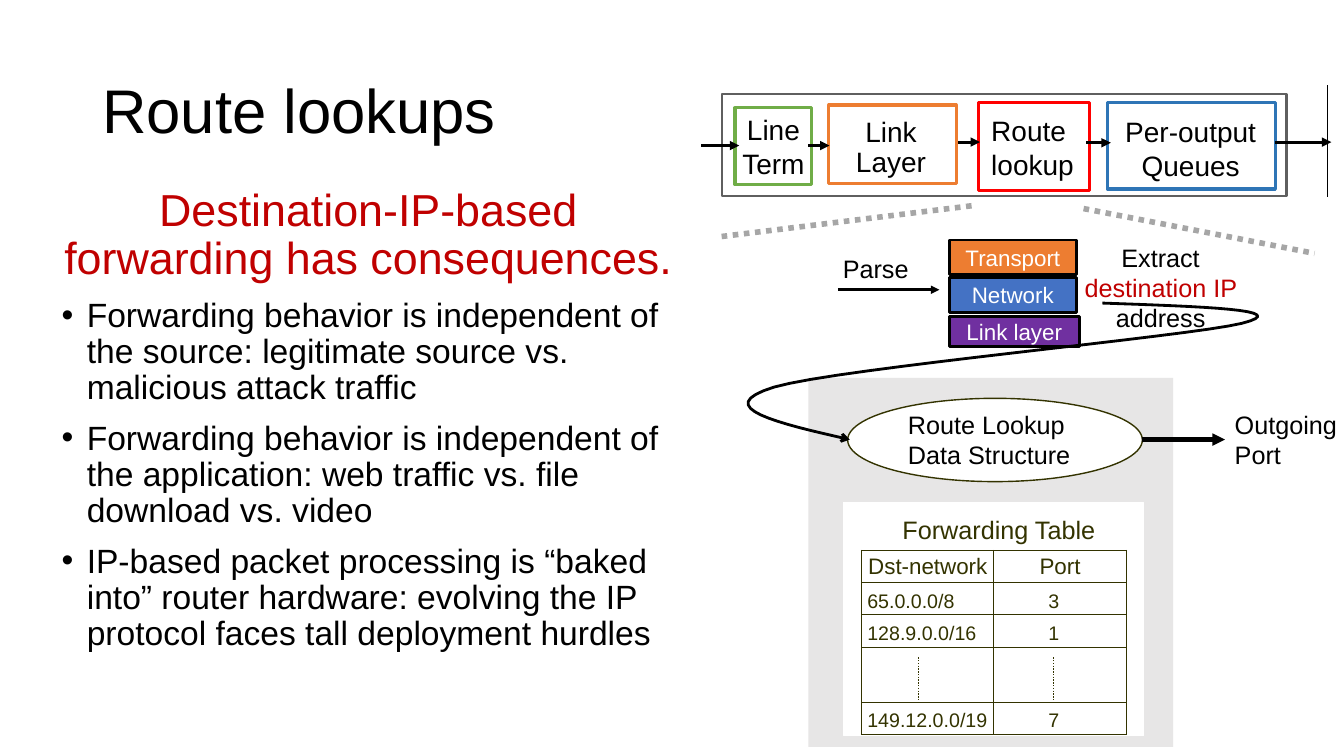
from lxml import etree
from pptx import Presentation
from pptx.dml.color import RGBColor
from pptx.enum.dml import MSO_LINE
from pptx.enum.shapes import MSO_CONNECTOR, MSO_SHAPE
from pptx.enum.text import MSO_ANCHOR, PP_ALIGN
from pptx.oxml.ns import qn
from pptx.util import Pt

LEFT, CENTER = PP_ALIGN.LEFT, PP_ALIGN.CENTER
TOP, MIDDLE = MSO_ANCHOR.TOP, MSO_ANCHOR.MIDDLE
RECTANGLE, OVAL = MSO_SHAPE.RECTANGLE, MSO_SHAPE.OVAL
STRAIGHT, DOTTED = MSO_CONNECTOR.STRAIGHT, MSO_LINE.ROUND_DOT
FONT = "Arial"
BLACK, WHITE, RED, OLIVE = "000000", "FFFFFF", "C00000", "333300"
color = RGBColor.from_string

deck = Presentation()
deck.slide_width, deck.slide_height = Pt(960), Pt(540)
page = deck.slides.add_slide(deck.slide_layouts[6])


def write(frame, text, size, ink=BLACK, align=LEFT, anchor=TOP, spacing=1.0):
    frame.word_wrap = True
    frame.margin_left = frame.margin_right = frame.margin_top = frame.margin_bottom = 0
    frame.vertical_anchor = anchor
    frame.text = text
    for para in frame.paragraphs:
        para.alignment = align
        para.line_spacing = spacing
        for span in para.runs:
            span.font.name = FONT
            span.font.size = Pt(size)
            span.font.color.rgb = color(ink)


def add_line(x1, y1, x2, y2, ink, weight, arrow=False, dotted=False):
    connector = page.shapes.add_connector(STRAIGHT, Pt(x1), Pt(y1), Pt(x2), Pt(y2))
    connector.line.color.rgb = color(ink)
    connector.line.width = Pt(weight)
    if dotted:
        connector.line.dash_style = DOTTED
    properties = connector._element.spPr
    if arrow:
        etree.SubElement(properties.find(qn("a:ln")), qn("a:tailEnd"), type="triangle")
    etree.SubElement(properties, qn("a:effectLst"))


shapes = [
    (RECTANGLE, 516, 67, 403, 73, WHITE, "5F5F5F", 1.5, ""),
    (RECTANGLE, 525, 77, 55, 55, WHITE, "70AD47", 2.25, ""),
    (RECTANGLE, 592, 75, 91, 56, WHITE, "ED7D31", 2.25, ""),
    (RECTANGLE, 699, 73, 79, 63, WHITE, "FF0000", 2.25, ""),
    (RECTANGLE, 791, 73, 120, 62, WHITE, "2E75B6", 2.25, ""),
    (RECTANGLE, 577.5, 270, 260.5, 263.5, "E7E6E6", None, 0, ""),
    (OVAL, 605.5, 284.5, 210.5, 59.5, WHITE, OLIVE, 1, ""),
    (RECTANGLE, 602.5, 359, 214.5, 166.5, WHITE, WHITE, 1, ""),
    (RECTANGLE, 678, 171.5, 91, 24.5, "ED7D31", BLACK, 2, "Transport"),
    (RECTANGLE, 678, 198.5, 91, 24.5, "4472C4", BLACK, 2, "Network"),
    (RECTANGLE, 678, 226, 93, 21.5, "7030A0", BLACK, 2, "Link layer"),
]
for kind, x, y, width, height, fill, outline, weight, label in shapes:
    shape = page.shapes.add_shape(kind, Pt(x), Pt(y), Pt(width), Pt(height))
    shape.shadow.inherit = False
    shape.fill.solid()
    shape.fill.fore_color.rgb = color(fill)
    if outline:
        shape.line.color.rgb = color(outline)
        shape.line.width = Pt(weight)
    else:
        shape.line.fill.background()
    if label:
        write(shape.text_frame, label, 16, WHITE, CENTER, MIDDLE)

for start, end, y in [(501, 528, 104), (577.5, 592.5, 104), (684.5, 700, 101.5),
                      (776, 793.5, 102), (911, 951, 101.5)]:
    add_line(start, y, end, y, BLACK, 2.25, arrow=True)
add_line(948, 61, 948, 141, BLACK, 0.75)
add_line(694, 147, 515, 169, "A6A6A6", 4, dotted=True)
add_line(774, 149, 939, 181, "A6A6A6", 4, dotted=True)
add_line(598.5, 207, 671, 207, BLACK, 2, arrow=True)
add_line(815.5, 314, 875, 314, BLACK, 3, arrow=True)

labels = [
    ("Route lookups", 73, 32.5, 814, 97, 44, BLACK, LEFT, MIDDLE, 0.9),
    ("Line\nTerm", 525, 77, 55, 55, 20, BLACK, CENTER, MIDDLE, 1.0),
    ("Link\nLayer", 595, 89.5, 83, 33, 20, BLACK, CENTER, MIDDLE, 0.9),
    ("Route\nlookup", 708, 81, 70, 46, 20, BLACK, LEFT, TOP, 1.0),
    ("Per-output\nQueues", 796, 82, 109, 46, 20, BLACK, CENTER, TOP, 1.0),
    ("Parse", 602, 181, 60, 22, 18, BLACK, LEFT, TOP, 1.0),
    ("Route Lookup Data Structure", 648.5, 292.5, 132, 43, 18, BLACK, LEFT, TOP, 1.0),
    ("Outgoing Port", 882, 289, 77, 50, 18, BLACK, LEFT, MIDDLE, 1.0),
    ("Forwarding Table", 637, 363.5, 153, 29, 18, OLIVE, CENTER, MIDDLE, 1.0),
]
for text, x, y, width, height, *style in labels:
    box = page.shapes.add_textbox(Pt(x), Pt(y), Pt(width), Pt(height))
    write(box.text_frame, text, *style)

extract = page.shapes.add_textbox(Pt(758), Pt(173), Pt(142), Pt(65))
write(extract.text_frame, "Extract ", 18, BLACK, CENTER)
for text, ink in [("destination IP ", RED), ("address", BLACK)]:
    span = extract.text_frame.paragraphs[0].add_run()
    span.text = text
    span.font.name = FONT
    span.font.size = Pt(18)
    span.font.color.rgb = color(ink)

consequences = [
    "Destination-IP-based forwarding has consequences.",
    "Forwarding behavior is independent of the source: legitimate source vs. malicious attack traffic",
    "Forwarding behavior is independent of the application: web traffic vs. file download vs. video",
    "IP-based packet processing is “baked into” router hardware: evolving the IP protocol faces tall deployment hurdles",
]
body = page.shapes.add_textbox(Pt(44), Pt(134), Pt(438.5), Pt(374))
write(body.text_frame, "\n".join(consequences), 24, spacing=0.9)
headline, *bullets = body.text_frame.paragraphs
headline.alignment = CENTER
headline.runs[0].font.size = Pt(32)
headline.runs[0].font.color.rgb = color(RED)
for para in bullets:
    properties = para._p.get_or_add_pPr()
    properties.set("marL", str(Pt(18)))
    properties.set("indent", str(-Pt(18)))
    etree.SubElement(properties, qn("a:buFont"), typeface=FONT)
    etree.SubElement(properties, qn("a:buChar"), char="•")
    para.space_before = Pt(10)

rows = [("Dst-network", "Port"), ("65.0.0.0/8", "3"), ("128.9.0.0/16", "1"),
        ("", ""), ("149.12.0.0/19", "7")]
heights = [23, 23, 23.5, 39, 23]
routes = page.shapes.add_table(5, 2, Pt(615.5), Pt(393), Pt(189), Pt(sum(heights))).table
routes.first_row = routes.horz_banding = False
for column in routes.columns:
    column.width = Pt(94.5)
for row, (texts, height) in enumerate(zip(rows, heights)):
    routes.rows[row].height = Pt(height)
    for column, text in enumerate(texts):
        cell = routes.cell(row, column)
        align = CENTER if column or row == 0 else LEFT
        write(cell.text_frame, text, 14 if row else 16, OLIVE, align)
        cell.vertical_anchor = MIDDLE
        cell.margin_left = Pt(4 if align == LEFT else 0)
        cell.margin_right = Pt(9 if row and column else 0)
        cell.margin_top = Pt(4 if row else 0)
        cell.margin_bottom = 0
        cell.fill.background()
        for index, side in enumerate(["lnL", "lnR", "lnT", "lnB"]):
            border = etree.Element(qn("a:" + side), w=str(Pt(0.75)))
            paint = etree.SubElement(border, qn("a:solidFill"))
            etree.SubElement(paint, qn("a:srgbClr"), val=OLIVE)
            cell._tc.tcPr.insert(index, border)
for x in (656, 752.5):
    add_line(x, 469.5, x, 499.5, OLIVE, 1, dotted=True)

curves = [
    [(787.5, 216.5), (856.5, 219), (926.5, 221), (887, 231)],
    [(887, 231), (848, 240.5), (599, 263), (553, 276.5)],
    [(553, 276.5), (506, 291), (556.5, 302.5), (607, 314)],
]
STEPS = 16
points = []
for a, b, c, d in curves:
    for step in range(1, STEPS + 1):
        t = step / STEPS
        u = 1 - t
        points.append(tuple(
            Pt(u**3 * a[i] + 3 * u * u * t * b[i] + 3 * u * t * t * c[i] + t**3 * d[i])
            for i in (0, 1)))
builder = page.shapes.build_freeform(Pt(787.5), Pt(216.5))
builder.add_line_segments(points, close=False)
lookup_path = builder.convert_to_shape()
lookup_path.shadow.inherit = False
lookup_path.fill.background()
lookup_path.line.color.rgb = color(BLACK)
lookup_path.line.width = Pt(2)
etree.SubElement(lookup_path._element.spPr.find(qn("a:ln")), qn("a:tailEnd"), type="arrow")

deck.save("out.pptx")
